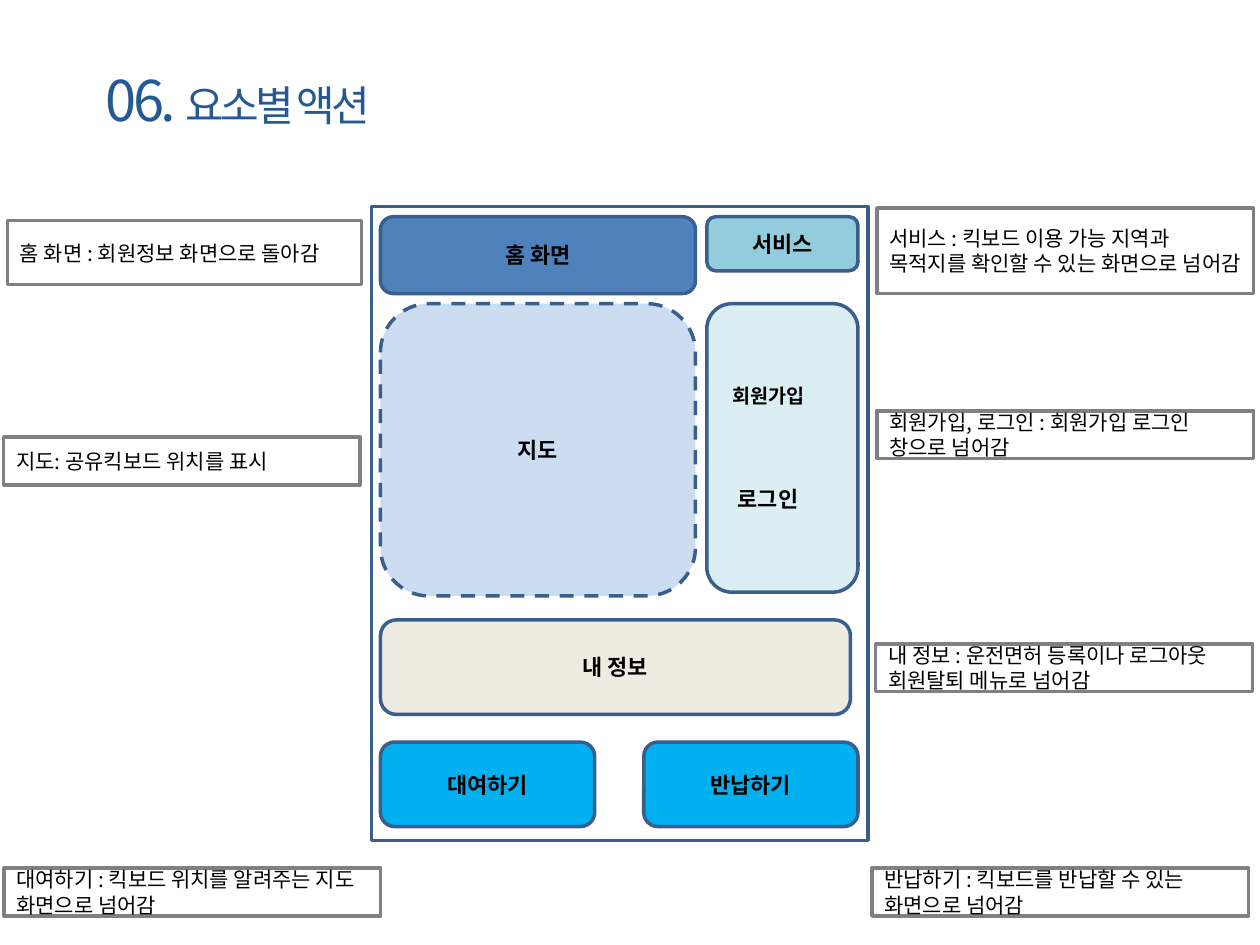
from dataclasses import dataclass

from lxml import etree
from pptx import Presentation
from pptx.dml.color import RGBColor
from pptx.enum.dml import MSO_LINE
from pptx.enum.shapes import MSO_SHAPE
from pptx.enum.text import MSO_ANCHOR, PP_ALIGN
from pptx.oxml.ns import qn
from pptx.util import Inches, Pt

RECTANGLE = MSO_SHAPE.RECTANGLE
ROUNDED = MSO_SHAPE.ROUNDED_RECTANGLE
DASH = MSO_LINE.DASH
MIDDLE = MSO_ANCHOR.MIDDLE
LEFT, CENTER = PP_ALIGN.LEFT, PP_ALIGN.CENTER


@dataclass(frozen=True)
class Theme:
    font: str = "Noto Sans CJK KR"
    title: str = "255994"
    ink: str = "000000"
    paper: str = "FFFFFF"
    frame: str = "3A5F8C"
    note_line: str = "808080"
    home: str = "4F81BD"
    service: str = "93CDDD"
    account: str = "DBEEF4"
    map: str = "C6D9F1"
    profile: str = "EEECE1"
    action: str = "00B0F0"
    number_size: float = 32
    title_size: float = 24
    button_size: float = 12.5
    small_button_size: float = 11.2
    note_size: float = 12
    line_width: float = 2


class SlideBuilder:
    def __init__(self, deck, theme):
        self.theme = theme
        self.page = deck.slides.add_slide(deck.slide_layouts[6])
        self.screen = None

    def style_font(self, font, size, color, bold=False):
        font.name = self.theme.font
        font.size = Pt(size)
        font.bold = bold
        font.color.rgb = RGBColor.from_string(color)
        etree.SubElement(font._element, qn("a:ea"), typeface=self.theme.font)

    def title(self, number, text, left, top, width, height):
        box = self.page.shapes.add_textbox(
            Inches(left), Inches(top), Inches(width), Inches(height))
        frame = box.text_frame
        frame.word_wrap = True
        frame.vertical_anchor = MIDDLE
        para = frame.paragraphs[0]
        parts = ((number, self.theme.number_size), (text, self.theme.title_size))
        for words, size in parts:
            span = para.add_run()
            span.text = words
            self.style_font(span.font, size, self.theme.title)
            span.font._element.set("spc", "-200")

    def box(self, shapes, kind, area, fill, line):
        box = shapes.add_shape(kind, *(Inches(value) for value in area))
        box.shadow.inherit = False
        box.fill.solid()
        box.fill.fore_color.rgb = RGBColor.from_string(fill)
        box.line.color.rgb = RGBColor.from_string(line)
        box.line.width = Pt(self.theme.line_width)
        box.text_frame.word_wrap = True
        box.text_frame.vertical_anchor = MIDDLE
        return box

    def label(self, para, text, size, align, bold=False):
        para.text = text
        para.alignment = align
        self.style_font(para.font, size, self.theme.ink, bold)

    def start_screen(self, *area):
        self.screen = self.page.shapes.add_group_shape().shapes
        self.box(self.screen, RECTANGLE, area, self.theme.paper, self.theme.frame)

    def button(self, text, fill, *area):
        box = self.box(self.screen, ROUNDED, area, fill, self.theme.frame)
        if text:
            self.label(box.text_frame.paragraphs[0], text,
                       self.theme.button_size, CENTER, True)
        return box

    def map_area(self, text, *area):
        box = self.button(text, self.theme.map, *area)
        box.line.dash_style = DASH
        color = box.fill._xPr.find(qn("a:solidFill"))[0]
        etree.SubElement(color, qn("a:alpha"), val="89000")

    def account_panel(self, join, login, *area):
        frame = self.button("", self.theme.account, *area).text_frame
        first, second = frame.paragraphs[0], frame.add_paragraph()
        self.label(first, join, self.theme.small_button_size, LEFT, True)
        self.label(second, login, self.theme.button_size, LEFT, True)
        second.space_before = Pt(44.5)
        for para, indent in ((first, 0.05), (second, 0.09)):
            para._p.get_or_add_pPr().set("marL", str(Inches(indent)))

    def note(self, text, left, top, width=2.99, height=0.38):
        box = self.box(self.page.shapes, RECTANGLE, (left, top, width, height),
                       self.theme.paper, self.theme.note_line)
        self.label(box.text_frame.paragraphs[0], text, self.theme.note_size, LEFT)


def main():
    deck = Presentation()
    deck.slide_width, deck.slide_height = Inches(10), Inches(7.5)
    theme = Theme()
    slide = SlideBuilder(deck, theme)
    slide.title("06. ", "요소별 액션", 0.74, 0.47, 9.78, 0.64)

    left, right = 3.02, 5.61
    slide.start_screen(2.95, 1.64, 3.94, 5.03)
    slide.button("대여하기", theme.action, left, 5.89, 1.7, 0.67)
    slide.button("내 정보", theme.profile, left, 4.92, 3.73, 0.75)
    slide.button("홈 화면", theme.home, left, 1.72, 2.5, 0.61)
    slide.button("서비스", theme.service, right, 1.72, 1.2, 0.43)
    slide.account_panel("회원가입", "로그인", right, 2.41, 1.2, 2.29)
    slide.button("반납하기", theme.action, 5.11, 5.89, 1.7, 0.67)
    slide.map_area("지도", left, 2.41, 2.5, 2.32)

    notes = (
        ("홈 화면 : 회원정보 화면으로 돌아감", 0.06, 1.75, 2.81, 0.51),
        ("대여하기 : 킥보드 위치를 알려주는 지도 화면으로 넘어감", 0.03, 6.89),
        ("반납하기 : 킥보드를 반납할 수 있는 화면으로 넘어감", 6.92, 6.89),
        ("내 정보 : 운전면허 등록이나 로그아웃 회원탈퇴 메뉴로 넘어감", 6.95, 5.11),
        ("회원가입, 로그인 : 회원가입 로그인 창으로 넘어감", 6.96, 3.26),
        ("서비스 : 킥보드 이용 가능 지역과 목적지를 확인할 수 있는 화면으로 넘어감",
         6.96, 1.65, 2.99, 0.68),
        ("지도: 공유킥보드 위치를 표시", 0.03, 3.47, 2.83),
    )
    for note in notes:
        slide.note(*note)
    deck.save("out.pptx")


if __name__ == "__main__":
    main()
